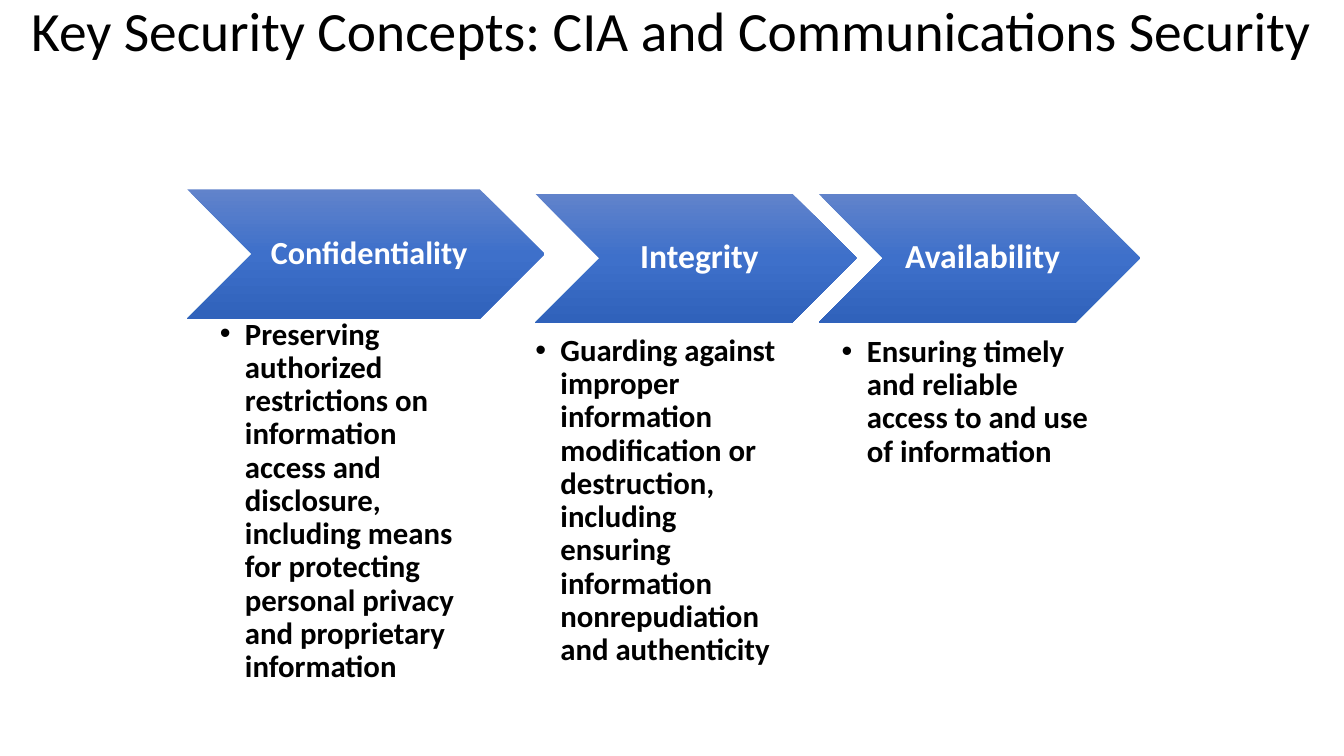
from copy import deepcopy
from dataclasses import dataclass

from lxml import etree
from pptx import Presentation
from pptx import util as u
from pptx.dml import color
from pptx.enum import shapes, text
from pptx.oxml import ns
from pptx.slide import Slide

SLIDE_WIDTH, SLIDE_HEIGHT = u.Inches(13.33), u.Inches(7.5)
COLUMNS, ROWS = 40, 30
TITLE_ONLY = 5


@dataclass(frozen=True)
class Theme:
    font: str = "Calibri"
    ink: str = "000000"
    on_chevron: str = "FFFFFF"
    chevron_gradient: tuple[str, ...] = ("6183CB", "3E70CA", "3062BB")
    title_size: float = 39.6
    definition_size: float = 22
    line_spacing: float = 0.9
    bullet_indent: float = 0.25


@dataclass(frozen=True)
class Area:
    column: float
    row: float
    columns: float
    rows: float

    def box(self) -> tuple[int, int, int, int]:
        return (
            round(self.column * SLIDE_WIDTH / COLUMNS),
            round(self.row * SLIDE_HEIGHT / ROWS),
            round(self.columns * SLIDE_WIDTH / COLUMNS),
            round(self.rows * SLIDE_HEIGHT / ROWS),
        )


@dataclass(frozen=True)
class Concept:
    name: str
    name_size: float
    chevron: Area
    definition: str
    definition_area: Area


THEME = Theme()
TITLE = "Key Security Concepts: CIA and Communications Security"
TITLE_AREA = Area(0.63, 0.16, 38.56, 7)
CHEVRON_ROWS = 5.12
DEFINITION_COLUMNS = 7.65
CONCEPTS = (
    Concept(
        "Confidentiality", 23, Area(5.58, 7.52, 10.62, CHEVRON_ROWS),
        "Preserving authorized restrictions on information access and disclosure, "
        "including means for protecting personal privacy and proprietary information",
        Area(6.54, 12.64, DEFINITION_COLUMNS, 16.2),
    ),
    Concept(
        "Integrity", 24, Area(15.93, 7.68, 9.57, CHEVRON_ROWS),
        "Guarding against improper information modification or destruction, "
        "including ensuring information nonrepudiation and authenticity",
        Area(15.93, 13.28, DEFINITION_COLUMNS, 15.52),
    ),
    Concept(
        "Availability", 24, Area(24.36, 7.68, 9.57, CHEVRON_ROWS),
        "Ensuring timely and reliable access to and use of information",
        Area(25.05, 13.32, DEFINITION_COLUMNS, 15.52),
    ),
)


def place(part, area: Area) -> None:
    part.left, part.top, part.width, part.height = area.box()


def set_margins(frame, left: float, others: float) -> None:
    frame.margin_left = u.Inches(left)
    frame.margin_top = frame.margin_right = frame.margin_bottom = u.Inches(others)


def style(paragraph, size: float, ink: str, bold: bool, align) -> None:
    paragraph.alignment = align
    paragraph.line_spacing = THEME.line_spacing
    paragraph.font.name = THEME.font
    paragraph.font.size = u.Pt(size)
    paragraph.font.bold = bold
    paragraph.font.color.rgb = color.RGBColor.from_string(ink)


def add_bullet(paragraph) -> None:
    properties = paragraph._p.get_or_add_pPr()
    indent = u.Inches(THEME.bullet_indent)
    properties.set("marL", str(indent))
    properties.set("indent", str(-indent))
    etree.SubElement(properties, ns.qn("a:buFont")).set("typeface", "Arial")
    etree.SubElement(properties, ns.qn("a:buChar")).set("char", "•")


def fill_gradient(chevron) -> None:
    chevron.fill.gradient()
    chevron.fill.gradient_angle = 270
    stop_list = chevron._element.spPr.find(".//" + ns.qn("a:gsLst"))
    stop_list.append(deepcopy(stop_list[0]))
    last = len(THEME.chevron_gradient) - 1
    for index, shade in enumerate(THEME.chevron_gradient):
        stop = chevron.fill.gradient_stops[index]
        stop.position = index / last
        stop.color.rgb = color.RGBColor.from_string(shade)


def write_title(slide: Slide) -> None:
    title = slide.shapes.title
    place(title, TITLE_AREA)
    frame = title.text_frame
    frame.text = TITLE
    frame.word_wrap = True
    frame.auto_size = text.MSO_AUTO_SIZE.NONE
    frame.vertical_anchor = text.MSO_ANCHOR.TOP
    set_margins(frame, 0.1, 0)
    style(frame.paragraphs[0], THEME.title_size, THEME.ink, False, text.PP_ALIGN.LEFT)


def draw_chevron(slide: Slide, concept: Concept) -> None:
    chevron = slide.shapes.add_shape(shapes.MSO_SHAPE.CHEVRON, *concept.chevron.box())
    chevron.shadow.inherit = False
    chevron.line.fill.background()
    fill_gradient(chevron)
    frame = chevron.text_frame
    frame.text = concept.name
    frame.word_wrap = True
    frame.vertical_anchor = text.MSO_ANCHOR.MIDDLE
    set_margins(frame, 0.1, 0.03)
    style(frame.paragraphs[0], concept.name_size, THEME.on_chevron, True, text.PP_ALIGN.CENTER)


def write_definition(slide: Slide, concept: Concept) -> None:
    frame = slide.shapes.add_textbox(*concept.definition_area.box()).text_frame
    frame.text = concept.definition
    frame.word_wrap = True
    set_margins(frame, 0, 0)
    paragraph = frame.paragraphs[0]
    add_bullet(paragraph)
    style(paragraph, THEME.definition_size, THEME.ink, True, text.PP_ALIGN.LEFT)


def main() -> None:
    deck = Presentation()
    deck.slide_width, deck.slide_height = SLIDE_WIDTH, SLIDE_HEIGHT
    slide = deck.slides.add_slide(deck.slide_layouts[TITLE_ONLY])
    write_title(slide)
    for concept in CONCEPTS:
        draw_chevron(slide, concept)
        write_definition(slide, concept)
    deck.save("out.pptx")


if __name__ == "__main__":
    main()
